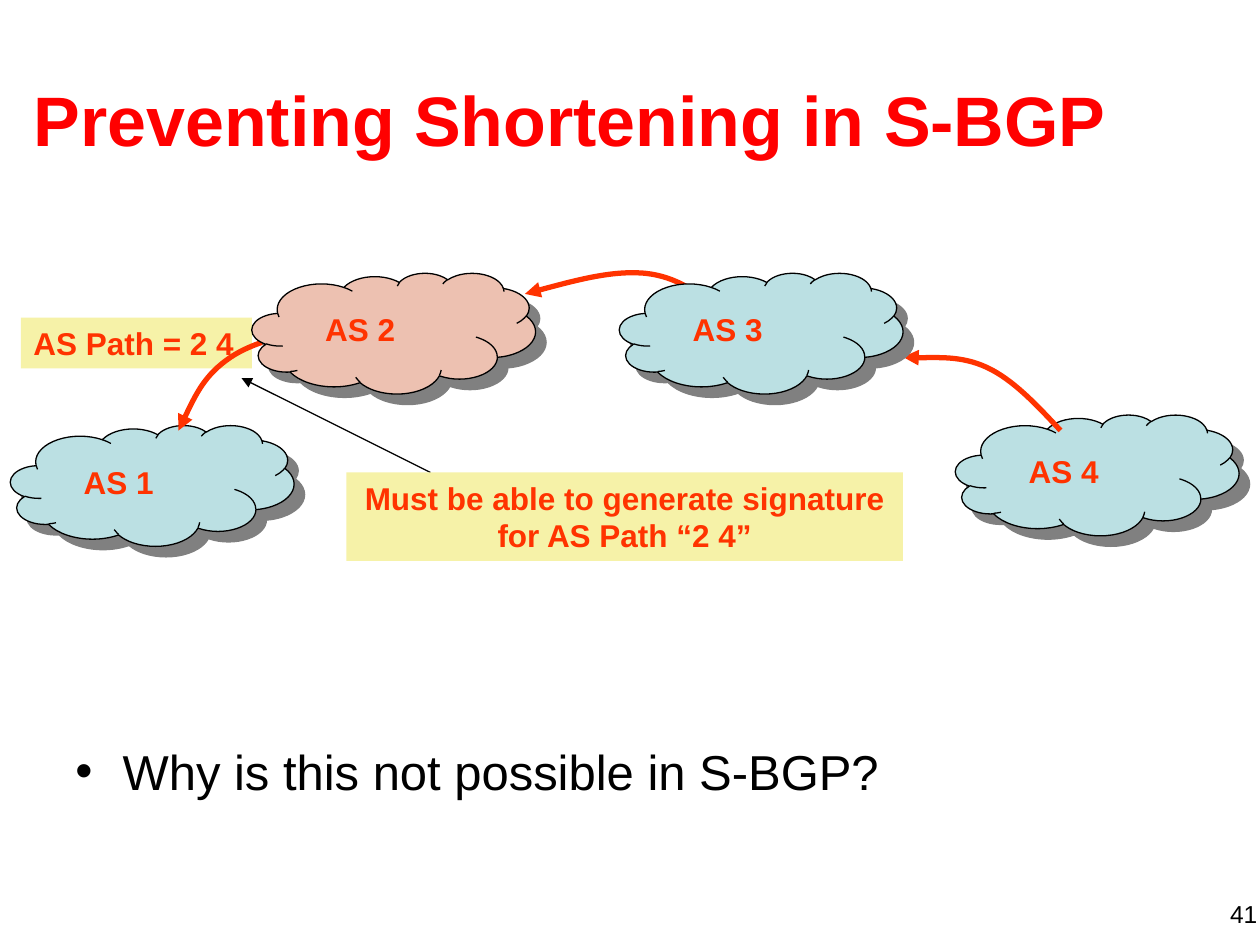
from dataclasses import dataclass

from lxml import etree
from pptx import Presentation
from pptx.dml.color import RGBColor
from pptx.enum.shapes import MSO_CONNECTOR, MSO_SHAPE
from pptx.enum.text import MSO_ANCHOR, MSO_AUTO_SIZE, PP_ALIGN
from pptx.oxml.ns import qn
from pptx.util import Pt

CLOUD = MSO_SHAPE.CLOUD
RECTANGLE = MSO_SHAPE.RECTANGLE
STRAIGHT = MSO_CONNECTOR.STRAIGHT
TOP, MIDDLE = MSO_ANCHOR.TOP, MSO_ANCHOR.MIDDLE
NO_AUTOFIT = MSO_AUTO_SIZE.NONE
LEFT, CENTER, RIGHT = PP_ALIGN.LEFT, PP_ALIGN.CENTER, PP_ALIGN.RIGHT

FONT = "Arial"
BLACK, RED, ORANGE = "000000", "FF0000", "FF3300"
BLUE, PINK, YELLOW, GRAY = "BBE0E3", "EDC1B1", "F6F2A8", "808080"
CLOUD_WIDTH, CLOUD_HEIGHT = 162, 69


@dataclass(frozen=True)
class System:
    name: str
    left: float
    top: float
    fill: str = BLUE
    label_fill: str | None = None


@dataclass(frozen=True)
class Route:
    points: tuple[tuple[float, float], ...]


@dataclass(frozen=True)
class Note:
    text: str
    left: float
    top: float
    width: float
    height: float
    alignment: PP_ALIGN


PATH_NOTE = Note("AS Path = 2 4", 12, 181.5, 132, 29, LEFT)
SIGNATURE_NOTE = Note(
    "Must be able to generate signature for AS Path “2 4”", 198, 270, 318, 50.5, CENTER
)
OUTER_SYSTEMS = (System("AS 4", 546, 237), System("AS 1", 6, 243))
MIDDLE_SYSTEMS = (
    System("AS 2", 144, 156, PINK, PINK),
    System("AS 3", 354, 156),
)
ROUTES = (
    Route(((606, 246), (592.5, 231.5), (579, 217), (564, 210), (549, 203), (524, 205), (516, 204))),
    Route(((408, 174), (396, 165.5), (384, 157), (366, 156), (348, 155), (324, 161.5), (300, 168))),
    Route(((192, 186), (169.5, 190), (147, 194), (132, 204), (117, 214), (109.5, 230), (102, 246))),
)


def color(value: str) -> RGBColor:
    return RGBColor.from_string(value)


def set_fill(shape, value: str) -> None:
    shape.fill.solid()
    shape.fill.fore_color.rgb = color(value)


def set_line(shape, value: str, width: float) -> None:
    shape.line.color.rgb = color(value)
    shape.line.width = Pt(width)


def write(shape, text: str, size: float, value: str, bold: bool = False,
          alignment: PP_ALIGN = LEFT, anchor: MSO_ANCHOR = TOP,
          wrap: bool = True, margins: tuple[float, float] = (7.2, 3.6)) -> None:
    frame = shape.text_frame
    frame.text = text
    frame.auto_size = NO_AUTOFIT
    frame.word_wrap = wrap
    frame.vertical_anchor = anchor
    frame.margin_left = frame.margin_right = Pt(margins[0])
    frame.margin_top = frame.margin_bottom = Pt(margins[1])
    paragraph = frame.paragraphs[0]
    paragraph.alignment = alignment
    for run in paragraph.runs:
        run.font.name = FONT
        run.font.size = Pt(size)
        run.font.bold = bold
        run.font.color.rgb = color(value)


def add_arrowhead(shape) -> None:
    etree.SubElement(shape.line._get_or_add_ln(), qn("a:tailEnd"), type="triangle")


def add_shadow(shape) -> None:
    shape.shadow.inherit = False
    effects = shape._element.spPr.find(qn("a:effectLst"))
    shadow = etree.SubElement(
        effects, qn("a:outerShdw"), dist=str(Pt(8.5)), dir="2700000", rotWithShape="0"
    )
    etree.SubElement(shadow, qn("a:srgbClr"), val=GRAY)


def add_system(slide, system: System) -> None:
    group = slide.shapes.add_group_shape()
    cloud = group.shapes.add_shape(
        CLOUD, Pt(system.left), Pt(system.top), Pt(CLOUD_WIDTH), Pt(CLOUD_HEIGHT)
    )
    set_fill(cloud, system.fill)
    set_line(cloud, BLACK, 0.75)
    add_shadow(cloud)
    label = group.shapes.add_textbox(
        Pt(system.left + 36), Pt(system.top + 18.5), Pt(52), Pt(27)
    )
    if system.label_fill:
        set_fill(label, system.label_fill)
    write(label, system.name, 18, ORANGE, bold=True, wrap=False, margins=(5.8, 2.9))


def add_route(slide, route: Route) -> None:
    start, *rest = [(Pt(x), Pt(y)) for x, y in route.points]
    builder = slide.shapes.build_freeform(*start)
    builder.add_line_segments(rest, close=False)
    shape = builder.convert_to_shape()
    curve_path = next(shape._element.iter(qn("a:path")))
    segments = curve_path.findall(qn("a:lnTo"))
    for first in range(0, len(segments), 3):
        curve = etree.SubElement(curve_path, qn("a:cubicBezTo"))
        for segment in segments[first:first + 3]:
            curve.append(segment[0])
            curve_path.remove(segment)
    shape.shadow.inherit = False
    shape.fill.background()
    set_line(shape, ORANGE, 3)
    add_arrowhead(shape)


def add_note(slide, note: Note) -> None:
    shape = slide.shapes.add_shape(
        RECTANGLE, Pt(note.left), Pt(note.top), Pt(note.width), Pt(note.height)
    )
    shape.shadow.inherit = False
    set_fill(shape, YELLOW)
    shape.line.fill.background()
    write(shape, note.text, 18, ORANGE, bold=True, alignment=note.alignment)


def add_pointer(slide) -> None:
    pointer = slide.shapes.add_connector(STRAIGHT, Pt(246), Pt(270), Pt(138), Pt(216))
    set_line(pointer, BLACK, 0.75)
    add_arrowhead(pointer)
    etree.SubElement(pointer._element.spPr, qn("a:effectLst"))


def add_question(slide) -> None:
    question = slide.shapes.add_textbox(Pt(36), Pt(420), Pt(648), Pt(62.5))
    write(question, "Why is this not possible in S-BGP?", 28, BLACK)
    properties = question.text_frame.paragraphs[0]._p.get_or_add_pPr()
    properties.set("marL", str(Pt(27)))
    properties.set("indent", str(Pt(-27)))
    etree.SubElement(properties, qn("a:buFont"), typeface=FONT)
    etree.SubElement(properties, qn("a:buChar"), char="•")


def main() -> None:
    presentation = Presentation()
    presentation.slide_width, presentation.slide_height = Pt(720), Pt(540)
    slide = presentation.slides.add_slide(presentation.slide_layouts[5])

    title = slide.shapes.title
    title.left, title.top, title.width, title.height = Pt(12), Pt(23), Pt(690), Pt(90)
    write(title, "Preventing Shortening in S-BGP", 40, RED, bold=True, anchor=MIDDLE)

    add_question(slide)
    add_note(slide, PATH_NOTE)
    for system in OUTER_SYSTEMS:
        add_system(slide, system)
    for route in ROUTES:
        add_route(slide, route)
    for system in MIDDLE_SYSTEMS:
        add_system(slide, system)
    add_pointer(slide)
    add_note(slide, SIGNATURE_NOTE)

    number = slide.shapes.add_textbox(Pt(552), Pt(510), Pt(168), Pt(18))
    write(number, "41", 14, BLACK, alignment=RIGHT, margins=(1.5, 3.6))
    presentation.save("out.pptx")


if __name__ == "__main__":
    main()
